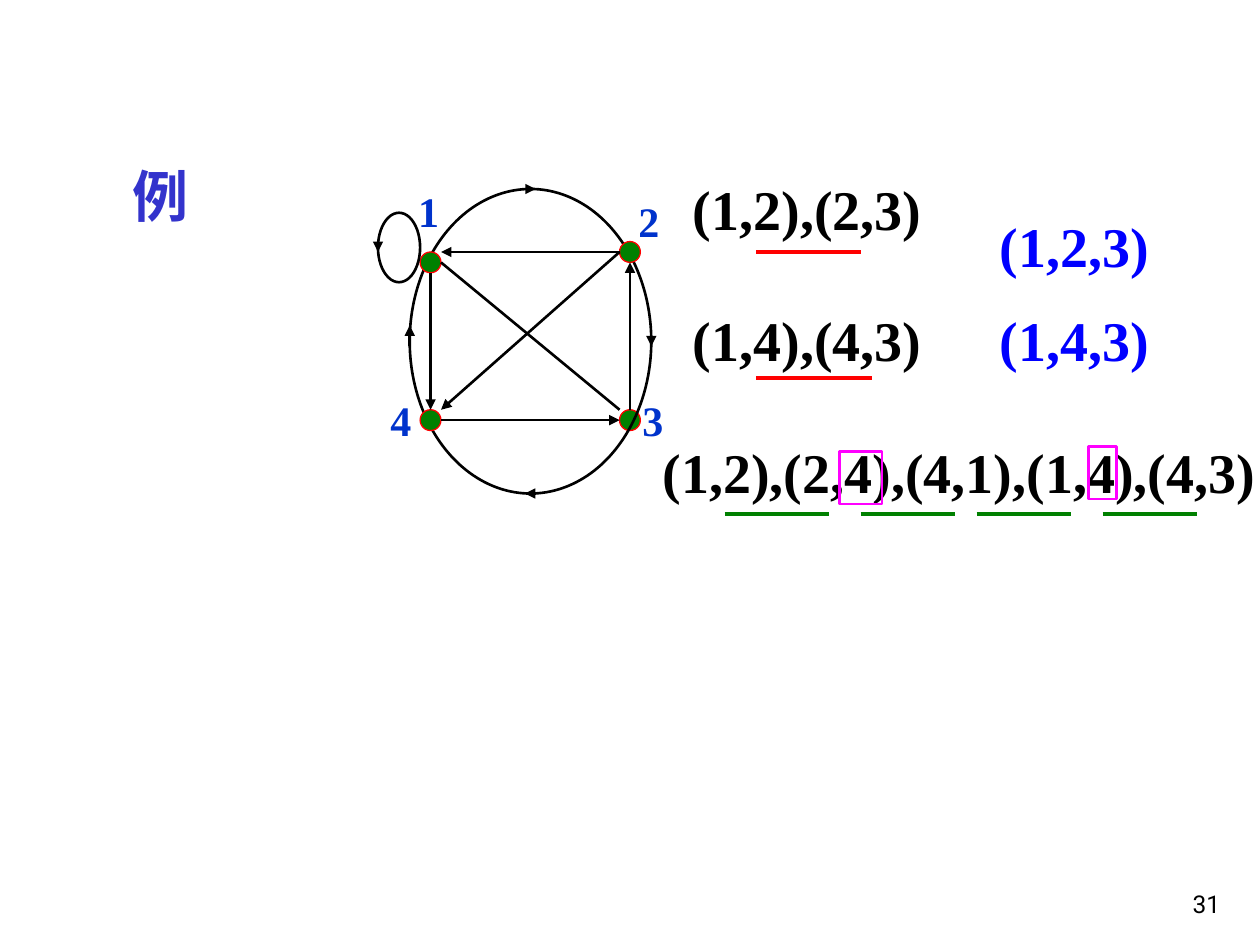
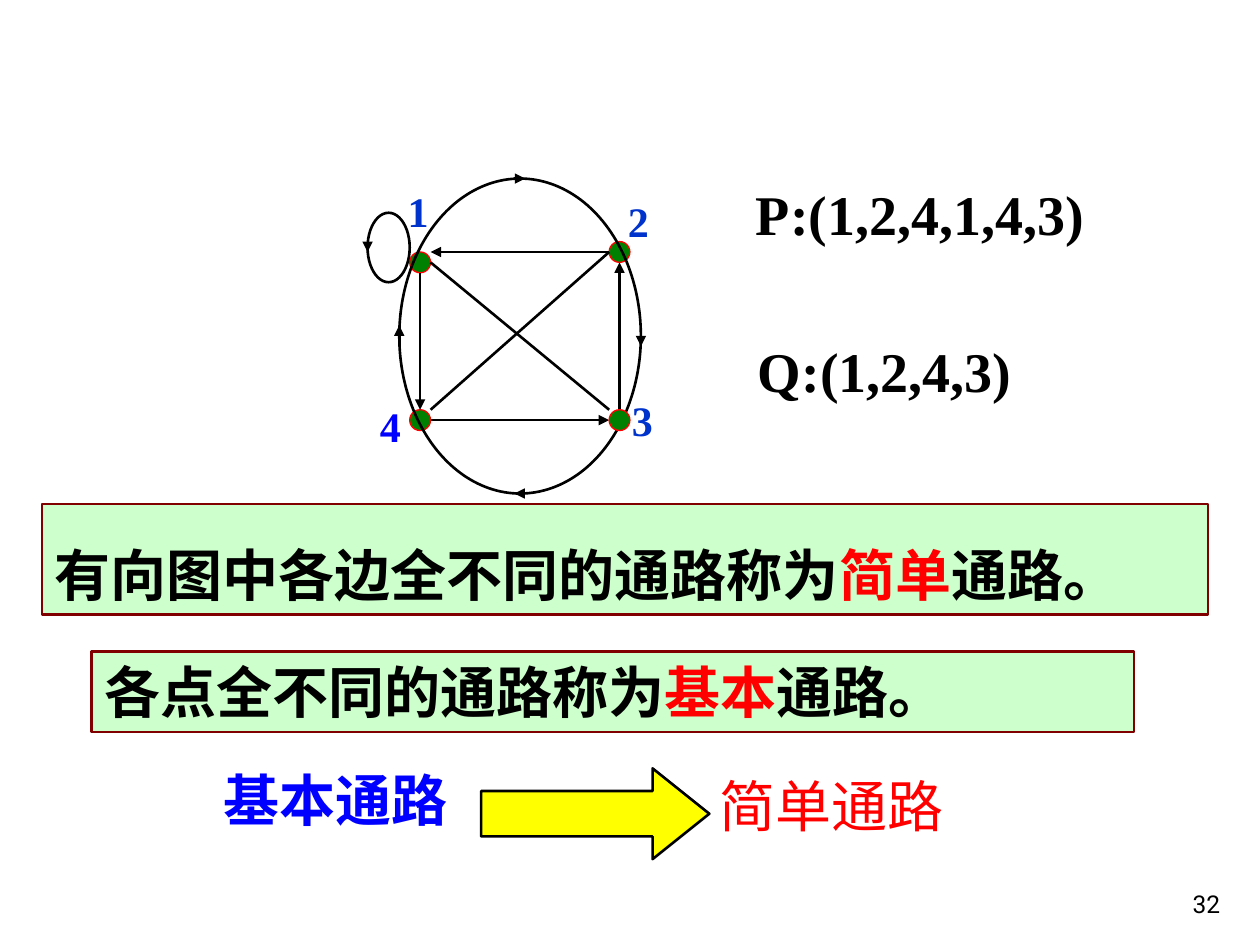
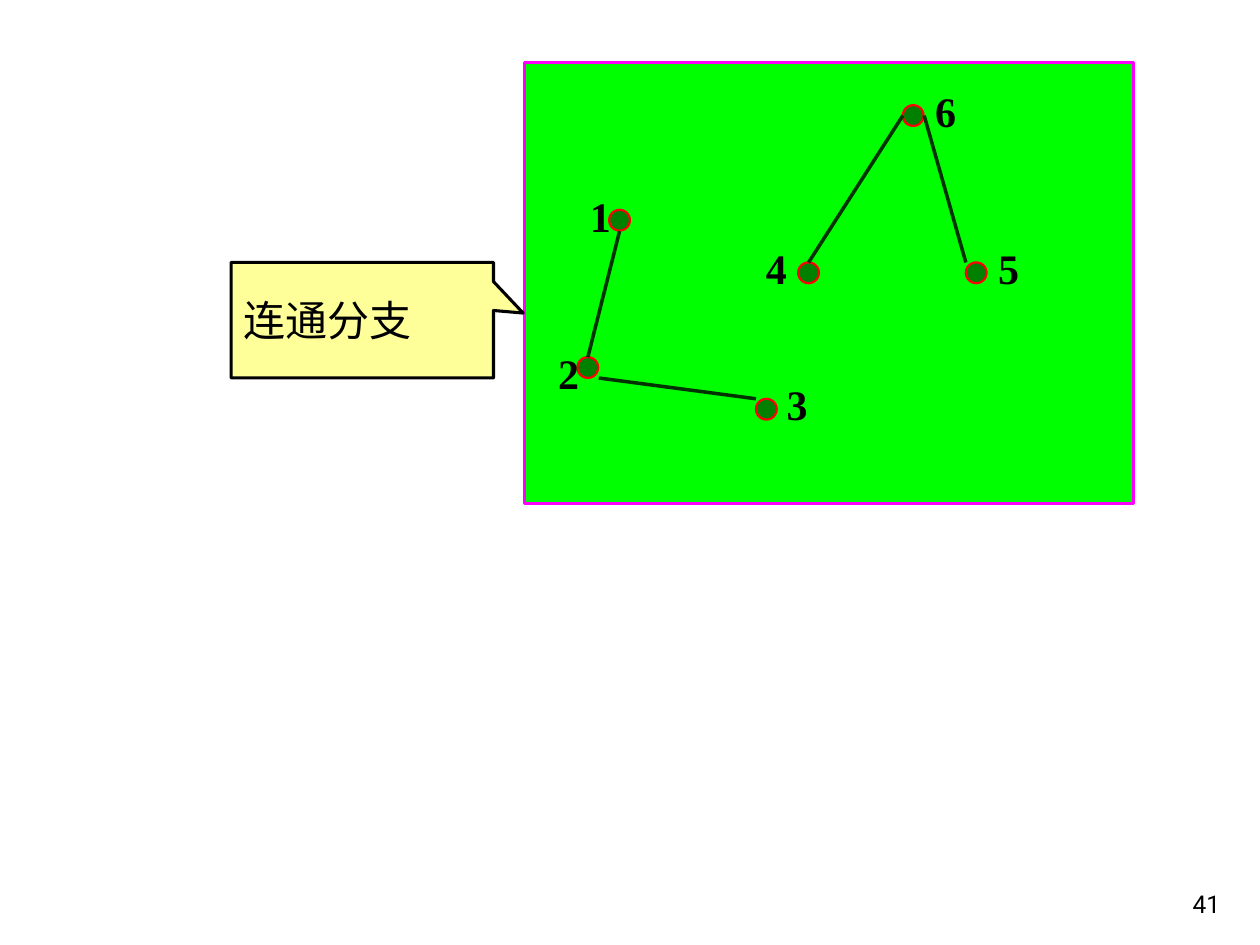
from lxml import etree
from pptx import Presentation
from pptx.dml.color import RGBColor
from pptx.enum.shapes import MSO_CONNECTOR, MSO_SHAPE
from pptx.enum.text import MSO_ANCHOR, PP_ALIGN
from pptx.oxml.ns import qn
from pptx.util import Cm, Pt

BLACK = RGBColor(0x00, 0x00, 0x00)
RED = RGBColor(0xFF, 0x00, 0x00)
BLUE = RGBColor(0x00, 0x00, 0xFF)
LABEL_BLUE = RGBColor(0x00, 0x33, 0xCC)
HEADING_BLUE = RGBColor(0x33, 0x33, 0xCC)
GREEN = RGBColor(0x00, 0x80, 0x00)
DARK_GREEN = RGBColor(0x00, 0x33, 0x00)
BRIGHT_GREEN = RGBColor(0x00, 0xFF, 0x00)
PALE_GREEN = RGBColor(0xCC, 0xFF, 0xCC)
MAGENTA = RGBColor(0xFF, 0x00, 0xFF)
MAROON = RGBColor(0x80, 0x00, 0x00)
YELLOW = RGBColor(0xFF, 0xFF, 0x00)
PALE_YELLOW = RGBColor(0xFF, 0xFF, 0x99)

SERIF = "Times New Roman"
SANS = "Roboto"

STRAIGHT = MSO_CONNECTOR.STRAIGHT
ELLIPSE = MSO_SHAPE.OVAL
RECTANGLE = MSO_SHAPE.RECTANGLE
RIGHT_ARROW = MSO_SHAPE.RIGHT_ARROW
CALLOUT = MSO_SHAPE.RECTANGULAR_CALLOUT
TOP, MIDDLE, BOTTOM = MSO_ANCHOR.TOP, MSO_ANCHOR.MIDDLE, MSO_ANCHOR.BOTTOM
LEFT, RIGHT = PP_ALIGN.LEFT, PP_ALIGN.RIGHT

NODE_SIZE = 0.42
RING_BOTTOM = 9.95


class Painter:
    """Holds the deck, its style and the current page."""

    def __init__(self):
        self.deck = Presentation()
        self.deck.slide_width = Cm(25.4)
        self.deck.slide_height = Cm(19.05)
        self.page = None

    def new_page(self, number):
        """Start a page and add its number."""
        self.page = self.deck.slides.add_slide(self.deck.slide_layouts[6])
        self.text(19.56, 17.36, 5.29, 1.27, [str(number)], size=14, font=SANS,
                  bold=False, align=RIGHT, anchor=BOTTOM)

    def fill_text(self, frame, paragraphs, size=32, font=SERIF, color=BLACK, bold=True,
                  align=LEFT, anchor=TOP, spacing=None, wrap=True):
        """Fill a frame with strings or lists of (words, color) spans."""
        frame.word_wrap = wrap
        frame.vertical_anchor = anchor
        for index, content in enumerate(paragraphs):
            paragraph = frame.add_paragraph() if index else frame.paragraphs[0]
            paragraph.alignment = align
            if spacing:
                paragraph.line_spacing = spacing
            paragraph.font.size = Pt(size)
            paragraph.font.name = font
            paragraph.font.bold = bold
            if isinstance(content, str):
                paragraph.font.color.rgb = color
                paragraph.add_run().text = content
                continue
            for words, span_color in content:
                span = paragraph.add_run()
                span.text = words
                span.font.color.rgb = span_color

    def text(self, left, top, width, height, paragraphs, **style):
        """Add a text box."""
        box = self.page.shapes.add_textbox(Cm(left), Cm(top), Cm(width), Cm(height))
        self.fill_text(box.text_frame, paragraphs, **style)

    def label(self, left, top, words, color):
        """Add the number beside a node."""
        self.text(left, top, 0.92, 1.27, [words], size=24, color=color, wrap=False)

    def shape(self, kind, left, top, width, height, line, weight=1.5, fill=None,
              adjustments=()):
        """Add an outlined preset shape."""
        shape = self.page.shapes.add_shape(kind, Cm(left), Cm(top), Cm(width), Cm(height))
        shape.shadow.inherit = False
        if fill is None:
            shape.fill.background()
        else:
            shape.fill.solid()
            shape.fill.fore_color.rgb = fill
        shape.line.color.rgb = line
        shape.line.width = Pt(weight)
        for index, value in enumerate(adjustments):
            shape.adjustments[index] = value
        return shape

    def node(self, left, top, weight=0.75):
        """Add a graph node."""
        self.shape(ELLIPSE, left, top, NODE_SIZE, NODE_SIZE, RED, weight, GREEN)

    def line(self, x1, y1, x2, y2, color=BLACK, weight=1.5, arrow=False):
        """Add a straight line, with an arrowhead at its end if asked."""
        line = self.page.shapes.add_connector(STRAIGHT, Cm(x1), Cm(y1), Cm(x2), Cm(y2))
        line.line.color.rgb = color
        line.line.width = Pt(weight)
        properties = line._element.spPr
        if arrow:
            etree.SubElement(properties.find(qn("a:ln")), qn("a:tailEnd"), type="triangle")
        etree.SubElement(properties, qn("a:effectLst"))

    def ring(self, shift, top):
        """Add the large ellipse around the square of nodes."""
        self.shape(ELLIPSE, 8.26 + shift, top, 4.87, RING_BOTTOM - top, BLACK)

    def digraph(self, ring_top, shift=0.0, ring_in_front=False, diagonal_arrow=True,
                fourth_label=(7.62, 7.82, LABEL_BLUE)):
        """Add the directed graph on four nodes."""
        if not ring_in_front:
            self.node(12.49 + shift, 8.26)
            self.ring(shift, ring_top)
        x, y, color = fourth_label
        self.label(x + shift, y, "4", color)
        for words, x, y in (("1", 8.18, 3.61), ("2", 12.62, 3.81), ("3", 12.7, 7.82)):
            self.label(x + shift, y, words, LABEL_BLUE)
        for x, y in ((8.47, 5.08), (12.49, 4.87), (8.47, 8.26)):
            self.node(x + shift, y)
        self.shape(ELLIPSE, 7.62 + shift, 4.29, 0.85, 1.4, BLACK)
        edges = (
            (12.49, 5.08, 8.89, 8.26, diagonal_arrow),
            (8.89, 5.29, 12.49, 8.26, False),
            (12.49, 5.08, 8.89, 5.08, True),
            (8.68, 5.5, 8.68, 8.26, True),
            (8.89, 8.47, 12.49, 8.47, True),
            (12.7, 8.26, 12.7, 5.29, True),
            (7.62, 4.87, 7.62, 5.08, True),
            (10.58, ring_top, 10.8, ring_top, True),
            (13.13, 6.77, 13.13, 6.98, True),
            (10.8, RING_BOTTOM, 10.58, RING_BOTTOM, True),
            (8.26, 6.98, 8.26, 6.56, True),
        )
        for x1, y1, x2, y2, arrow in edges:
            self.line(x1 + shift, y1, x2 + shift, y2, arrow=arrow)
        if ring_in_front:
            self.ring(shift, ring_top)
            self.node(12.49 + shift, 8.26)


def draw_paths(painter):
    """Draw the example paths in the directed graph."""
    painter.new_page(31)
    painter.digraph(3.81)
    painter.line(8.05, 4.24, 8.05, 4.24, arrow=True)
    painter.text(13.72, 3.39, 7.03, 1.63, ["(1,2),(2,3)"])
    painter.text(13.72, 6.03, 7.03, 1.63, ["(1,4),(4,3)"])
    painter.text(13.11, 8.69, 12.47, 1.63, ["(1,2),(2,4),(4,1),(1,4),(4,3)"], wrap=False)
    painter.text(19.9, 3.59, 4.64, 4.07, ["(1,2,3)", "(1,4,3)"], color=BLUE, spacing=1.4)
    for end, y in ((17.36, 5.08), (17.57, 7.62)):
        painter.line(15.24, y, end, y, RED, 2)
    for start, end in ((14.61, 16.71), (17.35, 19.25), (19.69, 21.59), (22.23, 24.13)):
        painter.line(start, 10.37, end, 10.37, GREEN, 2.25)
    painter.shape(RECTANGLE, 16.93, 9.1, 0.85, 1.06, MAGENTA)
    painter.shape(RECTANGLE, 21.95, 9, 0.56, 1.06, MAGENTA)
    painter.text(2.43, 3.13, 21.59, 9.77, ["例"], font=SANS, color=HEADING_BLUE)


def draw_definitions(painter):
    """Draw the definitions of simple and elementary paths."""
    painter.new_page(32)
    definitions = (
        (0.85, 10.16, 23.5, 2.23, 1.45, "有向图中各边全不同的通路称为", "简单"),
        (1.85, 13.13, 21.01, 1.63, None, "各点全不同的通路称为", "基本"),
    )
    for left, top, width, height, spacing, opening, term in definitions:
        box = painter.shape(RECTANGLE, left, top, width, height, MAROON, fill=PALE_GREEN)
        spans = [(opening, BLACK), (term, RED), ("通路。", BLACK)]
        painter.fill_text(box.text_frame, [spans], font=SANS, spacing=spacing)
    painter.digraph(3.6, shift=-0.21, ring_in_front=True, diagonal_arrow=False,
                    fourth_label=(7.62, 7.95, BLUE))
    painter.text(14.99, 3.49, 9.36, 1.63, ["P:(1,2,4,1,4,3)"])
    painter.text(15.03, 6.65, 9.36, 1.63, ["Q:(1,2,4,3)"])
    painter.text(4.25, 15.31, 5.4, 1.63, ["基本通路"], font=SANS, color=BLUE)
    painter.shape(RIGHT_ARROW, 9.7, 15.49, 4.6, 1.83, BLACK, fill=YELLOW,
                  adjustments=(0.5, 0.625))
    painter.text(14.25, 15.42, 7.97, 1.63, ["简单通路"], font=SANS, color=RED, bold=False)


def draw_components(painter):
    """Draw the graph with two connected components."""
    painter.new_page(41)
    painter.shape(RECTANGLE, 10.58, 1.27, 12.28, 8.89, MAGENTA, 1.75, BRIGHT_GREEN)
    nodes = ((12.28, 4.23), (11.64, 7.2), (15.24, 8.04),
             (16.09, 5.29), (19.47, 5.29), (18.2, 2.12))
    edges = ((11.85, 7.2, 12.49, 4.66), (12.07, 7.62, 15.24, 8.04),
             (16.3, 5.29, 18.2, 2.33), (18.63, 2.33, 19.47, 5.29))
    labels = ((11.64, 3.71), (11, 6.88), (15.61, 7.51),
              (15.19, 4.76), (19.87, 4.76), (18.6, 1.59))
    for x, y in nodes:
        painter.node(x, y, 1.25)
    for edge in edges:
        painter.line(*edge, color=DARK_GREEN, weight=2)
    for number, (x, y) in enumerate(labels, 1):
        painter.label(x, y, str(number), BLACK)
    callout = painter.shape(CALLOUT, 4.66, 5.29, 5.29, 2.33, BLACK, 1.75, PALE_YELLOW,
                            adjustments=(0.613, -0.061))
    painter.fill_text(callout.text_frame, ["连通分支"], size=24, font=SANS, bold=False,
                      anchor=MIDDLE)


def main():
    """Build and save the deck."""
    painter = Painter()
    draw_paths(painter)
    draw_definitions(painter)
    draw_components(painter)
    painter.deck.save("out.pptx")


if __name__ == "__main__":
    main()
